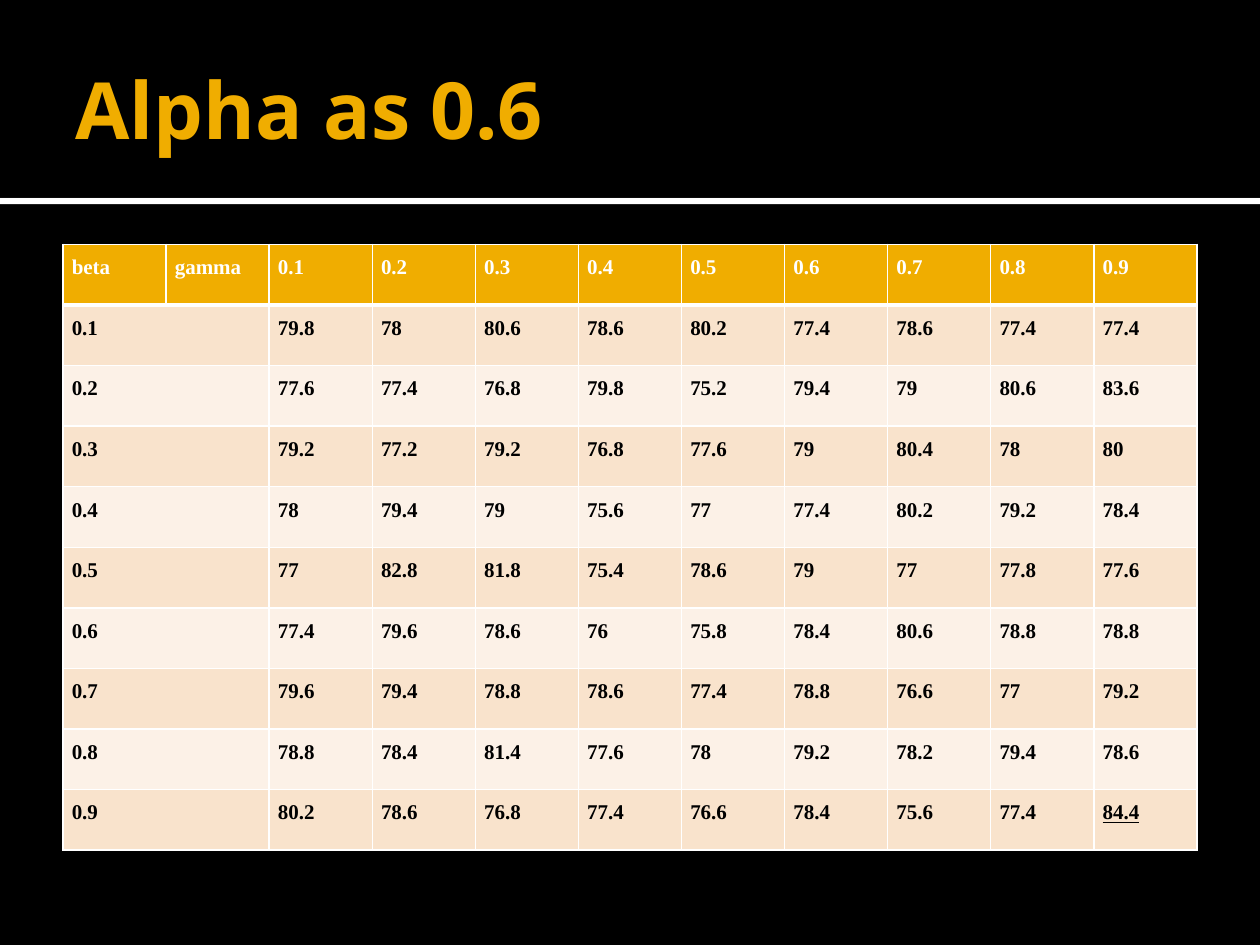
from lxml import etree
from pptx import Presentation
from pptx.dml.color import RGBColor
from pptx.enum import shapes, text
from pptx.oxml import ns
from pptx.util import Inches, Pt

COLORS = {"black": "000000", "white": "FFFFFF", "gold": "F0AD00",
          "peach": "F9E3CC", "cream": "FCF1E7"}
STEPS = ["0.1", "0.2", "0.3", "0.4", "0.5", "0.6", "0.7", "0.8", "0.9"]
SCORES = """79.8 78 80.6 78.6 80.2 77.4 78.6 77.4 77.4
77.6 77.4 76.8 79.8 75.2 79.4 79 80.6 83.6
79.2 77.2 79.2 76.8 77.6 79 80.4 78 80
78 79.4 79 75.6 77 77.4 80.2 79.2 78.4
77 82.8 81.8 75.4 78.6 79 77 77.8 77.6
77.4 79.6 78.6 76 75.8 78.4 80.6 78.8 78.8
79.6 79.4 78.8 78.6 77.4 78.8 76.6 77 79.2
78.8 78.4 81.4 77.6 78 79.2 78.2 79.4 78.6
80.2 78.6 76.8 77.4 76.6 78.4 75.6 77.4 84.4"""
BEST = "84.4"


def style_text(frame, font_name, size, color, align, **paragraph_format):
    paragraph = frame.paragraphs[0]
    paragraph.alignment = align
    for key, value in paragraph_format.items():
        setattr(paragraph, key, value)
    font = paragraph.runs[0].font
    for key, value in {"name": font_name, "size": Pt(size), "bold": True}.items():
        setattr(font, key, value)
    font.color.rgb = RGBColor.from_string(COLORS[color])
    return font


def add_borders(cell, widths):
    properties = cell._tc.get_or_add_tcPr()
    for index, (side, width) in enumerate(widths.items()):
        line = etree.Element(ns.qn("a:ln" + side), w=str(Pt(width)))
        fill = etree.SubElement(line, ns.qn("a:solidFill"))
        etree.SubElement(fill, ns.qn("a:srgbClr"), val=COLORS["white"])
        properties.insert(index, line)


prs = Presentation()
prs.slide_width, prs.slide_height = Inches(10), Inches(7.5)
slide = prs.slides.add_slide(prs.slide_layouts[5])
slide.background.fill.solid()
slide.background.fill.fore_color.rgb = RGBColor.from_string(COLORS["black"])

for top, height, color in [(1.57, 0.05, "white"), (0, 1.57, "black")]:
    band = slide.shapes.add_shape(shapes.MSO_SHAPE.RECTANGLE, 0, Inches(top),
                                  Inches(10), Inches(height))
    band.shadow.inherit = False
    band.fill.solid()
    band.fill.fore_color.rgb = RGBColor.from_string(COLORS[color])
    band.line.fill.background()

title = slide.shapes.title
title.element.getparent().append(title.element)
for key, value in {"left": 0.5, "top": 0.17, "width": 9, "height": 1.37}.items():
    setattr(title, key, Inches(value))
heading = title.text_frame
heading.text = "Alpha as 0.6"
for key, value in {"margin_left": Inches(0.1), "margin_right": Inches(0.05),
                   "margin_top": Inches(0.05), "margin_bottom": Inches(0.05),
                   "vertical_anchor": text.MSO_ANCHOR.MIDDLE,
                   "auto_size": text.MSO_AUTO_SIZE.NONE}.items():
    setattr(heading, key, value)
style_text(heading, "Open Sans", 45, "gold", text.PP_ALIGN.LEFT)

rows = [["beta", "gamma"] + STEPS]
rows += [[beta, ""] + line.split() for beta, line in zip(STEPS, SCORES.splitlines())]
grid = slide.shapes.add_table(len(rows), len(rows[0]), Inches(0.5), Inches(1.94),
                              Inches(9), Inches(4.81)).table
for r, row in enumerate(rows):
    if r:
        grid.cell(r, 0).merge(grid.cell(r, 1))
    row_fill = ("cream", "peach")[r % 2] if r else "gold"
    for c, value in enumerate(row):
        cell = grid.cell(r, c)
        for key, margin in {"left": 0.07, "right": 0.07, "top": 0, "bottom": 0}.items():
            setattr(cell, "margin_" + key, Inches(margin))
        cell.fill.solid()
        cell.fill.fore_color.rgb = RGBColor.from_string(COLORS[row_fill])
        add_borders(cell, {"L": 1, "R": 1, "T": 3 if r == 1 else 1, "B": 1 if r else 3})
        if value:
            cell.text = value
            font = style_text(cell.text_frame, "Times New Roman", 12,
                              "black" if r else "white", text.PP_ALIGN.JUSTIFY,
                              line_spacing=1.5, space_after=Pt(10 if r or c else 0))
            if value == BEST:
                font.underline = True

prs.save("out.pptx")
